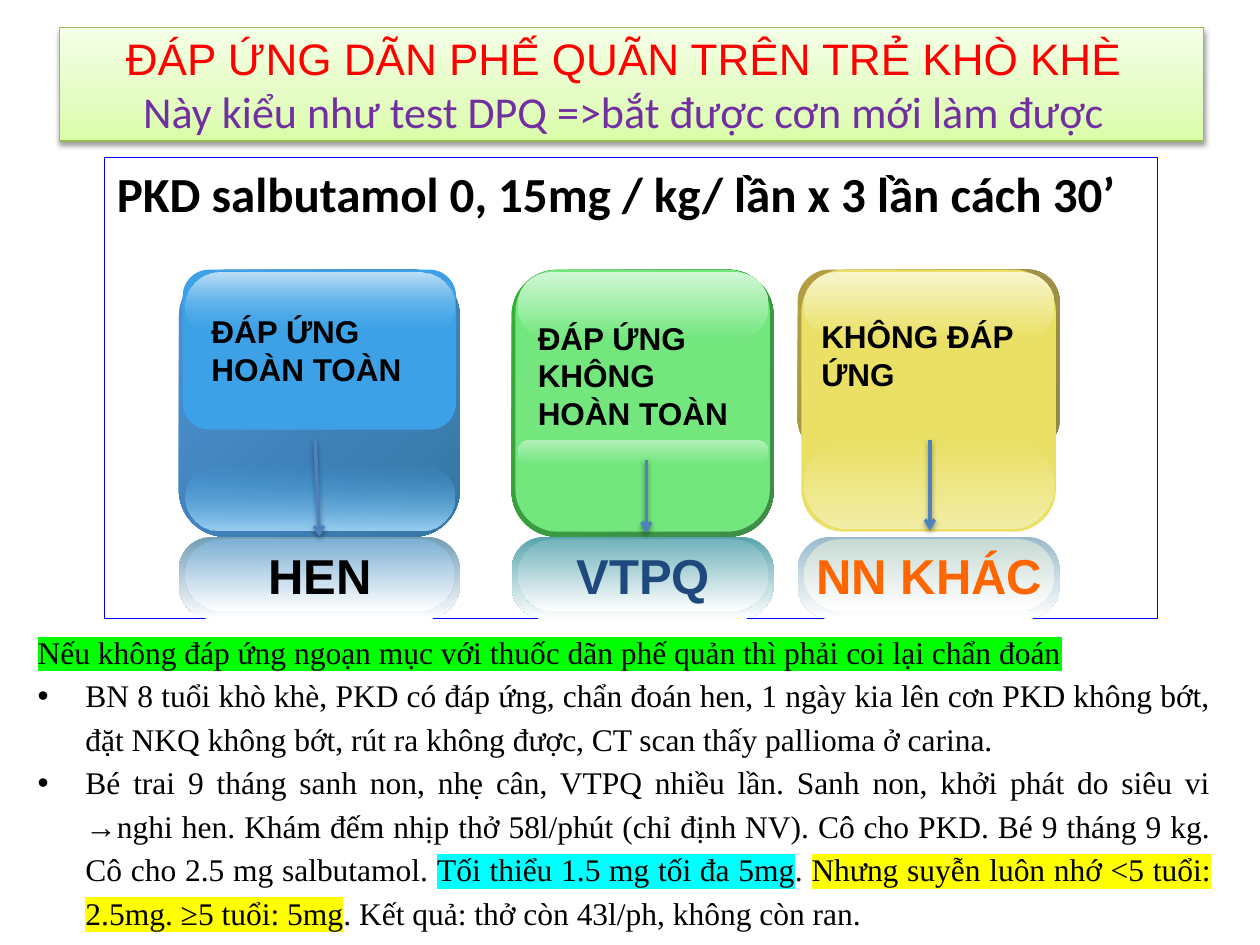
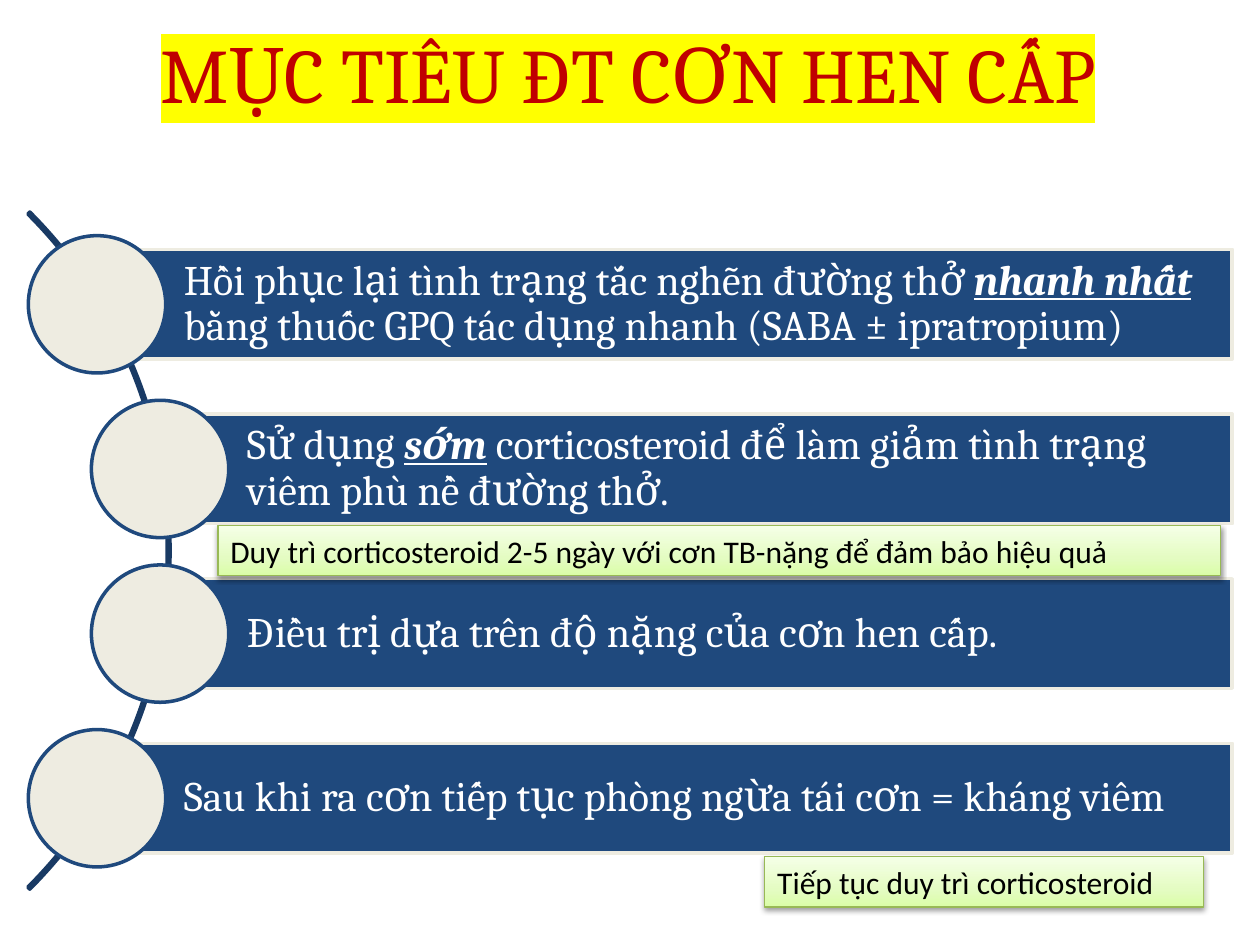
from lxml import etree
from pptx import Presentation
from pptx.dml.color import RGBColor
from pptx.enum import shapes, text
from pptx.oxml import ns
from pptx.util import Inches, Pt


class Theme:
    sans, body, serif, notes = "Arial", "Calibri", "Cambria", "Times New Roman"
    black, white, red, dark_red = "000000", "FFFFFF", "FF0000", "C00000"
    purple, navy, orange, cream = "7030A0", "1F497D", "FF6600", "EEECE1"
    arrow, frame, arc = "4F81BD", "0000FF", "193A64"
    lime, cyan, yellow = "00FF00", "00FFFF", "FFFF00"
    banner = {0: "DAFDA7", 35: "E4FCC2", 100: "F5FFE7"}
    banner_line = "98B955"
    small, row, heading, label, title = 18, 24, 25.2, 28, 44


def paint(sp, fill=None, line=None, width=0.75, angle=90, shadow=False):
    """Fill is a colour, or a dict of gradient stops (RRGGBB, or RRGGBBAA)."""
    spPr = sp._element.spPr
    if isinstance(fill, dict):
        sp.fill.gradient()
        sp.fill.gradient_angle = 360 - angle
        stops = spPr.find(ns.qn("a:gradFill")).find(ns.qn("a:gsLst"))
        for old in list(stops):
            stops.remove(old)
        for pos, color in fill.items():
            gs = etree.SubElement(stops, ns.qn("a:gs"), pos=str(pos * 1000))
            clr = etree.SubElement(gs, ns.qn("a:srgbClr"), val=color[:6])
            if len(color) == 8:
                alpha = int(color[6:], 16) * 100000 // 255
                etree.SubElement(clr, ns.qn("a:alpha"), val=str(alpha))
    elif fill:
        sp.fill.solid()
        sp.fill.fore_color.rgb = RGBColor.from_string(fill)
    elif hasattr(sp, "fill"):
        sp.fill.background()
    if line:
        sp.line.color.rgb = RGBColor.from_string(line)
        sp.line.width = Pt(width)
    else:
        sp.line.fill.background()
    effects = etree.SubElement(spPr, ns.qn("a:effectLst"))
    if shadow:
        outer = etree.SubElement(effects, ns.qn("a:outerShdw"), blurRad=str(Pt(3.1)),
                                 dist=str(Pt(1.6)), dir="5400000", rotWithShape="0")
        clr = etree.SubElement(outer, ns.qn("a:srgbClr"), val=Theme.black)
        etree.SubElement(clr, ns.qn("a:alpha"), val="38000")


def write(p, words, font, size, color=Theme.black, bold=False, mark=None, stress=False):
    r = p.add_run()
    r.text = words
    r.font.name, r.font.size = font, Pt(size)
    r.font.color.rgb = RGBColor.from_string(color)
    r.font.bold = bold or stress
    r.font.italic = r.font.underline = stress
    if mark:
        hl = etree.Element(ns.qn("a:highlight"))
        etree.SubElement(hl, ns.qn("a:srgbClr"), val=mark)
        r._r.rPr.find(ns.qn("a:solidFill")).addnext(hl)


prs = Presentation()
prs.slide_width, prs.slide_height = Inches(10), Inches(7.5)
title_only = prs.slide_layouts[5]
kinds, align, anchor = shapes.MSO_SHAPE, text.PP_ALIGN, text.MSO_ANCHOR

# ---- Slide 1: response to bronchodilators ----
s = prs.slides.add_slide(title_only)
sp = s.shapes.title
sp.left, sp.top, sp.width, sp.height = map(Inches, (0.47, 0.22, 9.08, 0.9))
paint(sp, Theme.banner, Theme.banner_line, angle=270, shadow=True)
tf = sp.text_frame
tf.auto_size, tf.vertical_anchor = text.MSO_AUTO_SIZE.NONE, anchor.MIDDLE
tf.margin_right = Inches(0.22)
p = tf.paragraphs[0]
p.alignment = align.CENTER
write(p, "ĐÁP ỨNG DÃN PHẾ QUÃN TRÊN TRẺ KHÒ KHÈ", Theme.sans, Theme.heading, Theme.red)
p.add_line_break()
write(p, "Này kiểu như test DPQ =>bắt được cơn mới làm được", Theme.body,
      Theme.heading, Theme.purple)

# Frame with the dose
sp = s.shapes.add_shape(kinds.RECTANGLE, *map(Inches, (0.83, 1.25, 8.36, 3.66)))
paint(sp, line=Theme.frame)
tf = sp.text_frame
tf.word_wrap, tf.vertical_anchor = True, anchor.TOP
p = tf.paragraphs[0]
p.alignment = align.JUSTIFY
write(p, "PKD salbutamol 0, 15mg / kg/ lần x 3 lần cách 30’", Theme.body,
      Theme.label, bold=True)

# Glossy cards: left, width, back (height, stops), face (height, colour),
# lower gloss (top, height, stops), upper gloss, plate colours, diagnosis
cards = [
    (1.42, 2.23, (2.12, {0: "4E91D4", 100: "3477A4"}), (1.27, "3CA1E6"),
     (3.68, 0.53, {0: "3CA1E600", 100: "9BCFF2"}), {0: "BEE0F7", 100: "3CA1E600"},
     ("729EB4", "7DAFD4"), ("HEN", Theme.black)),
    (4.06, 2.08, (2.12, {0: "34B034", 100: "3F8B4A"}), (2.08, "73E77E"),
     (3.49, 0.19, {0: "B3F2B9", 100: "73E77E"}), {0: "D0F7D4", 100: "73E77E"},
     ("58A4AE", "72B2BB"), ("VTPQ", Theme.navy)),
    (6.33, 2.08, (1.44, {0: "B59F43", 100: "8F8849"}), (2.08, "E9E065"),
     (3.49, 0.71, {0: "E9E065", 100: "F2EDA6"}), {0: "F8F5CC", 100: "E9E065"},
     ("99BACC", "C8DAD4"), ("NN KHÁC", Theme.orange)),
]
plates = []
for x, w, back, face, low, high, plate, (diagnosis, color) in cards:
    gloss_x, gloss_w = x + 0.05, w - 0.09
    layers = [
        ((x, 2.14, w, back[0]), 0.175, back[1], 45),
        ((x + 0.03, 2.14, w - 0.06, face[0]), 0.167, face[1], 90),
        ((gloss_x, low[0], gloss_w, low[1]), 0.5, low[2], 90),
        ((gloss_x, 2.16, gloss_w, 0.53), 0.5, high, 90),
        ((x, 4.26, w, 0.65), 0.404, {0: plate[0], 100: Theme.white}, 90),
        ((gloss_x, 4.28, gloss_w, 0.57), 0.5, {0: plate[1], 100: Theme.white}, 90),
    ]
    stack = []
    for at, corner, fill, angle in layers:
        sp = s.shapes.add_shape(kinds.ROUNDED_RECTANGLE, *map(Inches, at))
        sp.adjustments[0] = corner
        paint(sp, fill, angle=angle)
        stack.append(sp)
    plates.append(stack[4])
    tf = sp.text_frame
    tf.word_wrap, tf.vertical_anchor = False, anchor.MIDDLE
    p = tf.paragraphs[0]
    p.alignment = align.CENTER
    write(p, diagnosis, Theme.sans, Theme.label, color, bold=True)

# Responses written on the cards
for at, response in [
    ((1.58, 2.43, 2, 0.71), "ĐÁP ỨNG HOÀN TOÀN"),
    ((4.17, 2.48, 1.93, 1.01), "ĐÁP ỨNG KHÔNG HOÀN TOÀN"),
    ((6.42, 2.47, 2, 0.71), "KHÔNG ĐÁP ỨNG"),
]:
    tf = s.shapes.add_textbox(*map(Inches, at)).text_frame
    tf.word_wrap = True
    write(tf.paragraphs[0], response, Theme.sans, Theme.small, bold=True)

# Arrows to the diagnoses
arrows = []
for ends in [(2.5, 3.49, 2.54, 4.26), (5.13, 3.65, 5.13, 4.23), (7.38, 3.49, 7.38, 4.21)]:
    line = s.shapes.add_connector(shapes.MSO_CONNECTOR.STRAIGHT, *map(Inches, ends))
    paint(line, line=Theme.arrow, width=2, shadow=True)
    etree.SubElement(line.line._ln, ns.qn("a:tailEnd"), type="arrow")
    arrows.append(line)
arrows[0].end_connect(plates[0], 0)

# Case notes
tf = s.shapes.add_textbox(*map(Inches, (0.2, 4.93, 9.51, 2.51))).text_frame
tf.word_wrap = True
notes = [
    [("Nếu không đáp ứng ngoạn mục với thuốc dãn phế quản thì phải coi lại chẩn đoán",
      Theme.lime)],
    [("BN 8 tuổi khò khè, PKD có đáp ứng, chẩn đoán hen, 1 ngày kia lên cơn PKD không "
      "bớt, đặt NKQ không bớt, rút ra không được, CT scan thấy pallioma ở carina.", None)],
    [("Bé trai 9 tháng sanh non, nhẹ cân, VTPQ nhiều lần. Sanh non, khởi phát do siêu vi "
      "→nghi hen. Khám đếm nhịp thở 58l/phút (chỉ định NV). Cô cho PKD. Bé 9 tháng 9 kg. "
      "Cô cho 2.5 mg salbutamol. ", None),
     ("Tối thiểu 1.5 mg tối đa 5mg", Theme.cyan),
     (". ", None),
     ("Nhưng suyễn luôn nhớ <5 tuổi: 2.5mg. ≥5 tuổi: 5mg", Theme.yellow),
     (". Kết quả: thở còn 43l/ph, không còn ran.", None)],
]
for i, runs in enumerate(notes):
    p = tf.add_paragraph() if i else tf.paragraphs[0]
    p.alignment, p.line_spacing = align.JUSTIFY, 1.15
    if i:
        pPr = p._p.get_or_add_pPr()
        pPr.set("marL", str(Inches(0.38)))
        pPr.set("indent", str(Inches(-0.38)))
        etree.SubElement(pPr, ns.qn("a:buFont"), typeface=Theme.sans)
        etree.SubElement(pPr, ns.qn("a:buChar"), char="•")
    for words, mark in runs:
        write(p, words, Theme.notes, Theme.small, mark=mark)

# ---- Slide 2: treatment goals ----
s = prs.slides.add_slide(title_only)
sp = s.shapes.title
sp.left, sp.top, sp.width, sp.height = map(Inches, (0.11, 0.15, 9.75, 0.85))
tf = sp.text_frame
tf.auto_size, tf.vertical_anchor = text.MSO_AUTO_SIZE.NONE, anchor.MIDDLE
p = tf.paragraphs[0]
p.alignment = align.CENTER
write(p, "MỤC TIÊU ĐT CƠN HEN CẤP", Theme.serif, Theme.title, Theme.dark_red,
      mark=Theme.yellow)

# Arc behind the goals
sp = s.shapes.add_shape(kinds.BLOCK_ARC, *map(Inches, (-6.25, 0.57, 7.6, 7.6)))
for i, value in enumerate((189, 27, 0.003)):
    sp.adjustments[i] = value
paint(sp, line=Theme.arc, width=2)

# Goal bars with their circles; the flag marks stressed words
goals = [
    (0.77, [("Hồi phục lại tình trạng tắc nghẽn đường thở ", False), ("nhanh nhất", True),
            (" bằng thuốc GPQ tác dụng nhanh (SABA ± ipratropium)", False)]),
    (1.27, [("Sử dụng ", False), ("sớm", True),
            (" corticosteroid để làm giảm tình trạng viêm phù nề đường thở.", False)]),
    (1.27, [("Điều trị dựa trên độ nặng của cơn hen cấp.", False)]),
    (0.77, [("Sau khi ra cơn tiếp tục phòng ngừa tái cơn = kháng viêm", False)]),
]
bar_right, bar_h, circle = 9.78, 0.87, 1.09
for i, (x, runs) in enumerate(goals):
    y = 1.98 + i * 3.92 / 3
    sp = s.shapes.add_shape(kinds.RECTANGLE, *map(Inches, (x, y, bar_right - x, bar_h)))
    paint(sp, Theme.navy, Theme.cream, 2)
    tf = sp.text_frame
    tf.word_wrap, tf.vertical_anchor = True, anchor.MIDDLE
    tf.margin_left = Inches(0.69)
    tf.margin_right = tf.margin_top = tf.margin_bottom = Inches(0.07)
    p = tf.paragraphs[0]
    p.alignment, p.line_spacing = align.LEFT, 0.9
    for words, stress in runs:
        write(p, words, Theme.serif, Theme.row, Theme.white, stress=stress)
    at = (x - circle / 2, y + (bar_h - circle) / 2, circle, circle)
    sp = s.shapes.add_shape(kinds.OVAL, *map(Inches, at))
    paint(sp, Theme.cream, Theme.navy, 2)

# Corticosteroid reminders
for at, words in [
    ((1.73, 4.17, 7.96, 0.4),
     "Duy trì corticosteroid 2-5 ngày với cơn TB-nặng để đảm bảo hiệu quả"),
    ((6.07, 6.8, 3.48, 0.4), "Tiếp tục duy trì corticosteroid"),
]:
    sp = s.shapes.add_shape(kinds.RECTANGLE, *map(Inches, at))
    paint(sp, Theme.banner, Theme.banner_line, angle=270, shadow=True)
    tf = sp.text_frame
    tf.word_wrap, tf.vertical_anchor = True, anchor.TOP
    p = tf.paragraphs[0]
    p.alignment = align.LEFT
    write(p, words, Theme.body, Theme.small)

prs.save("out.pptx")
